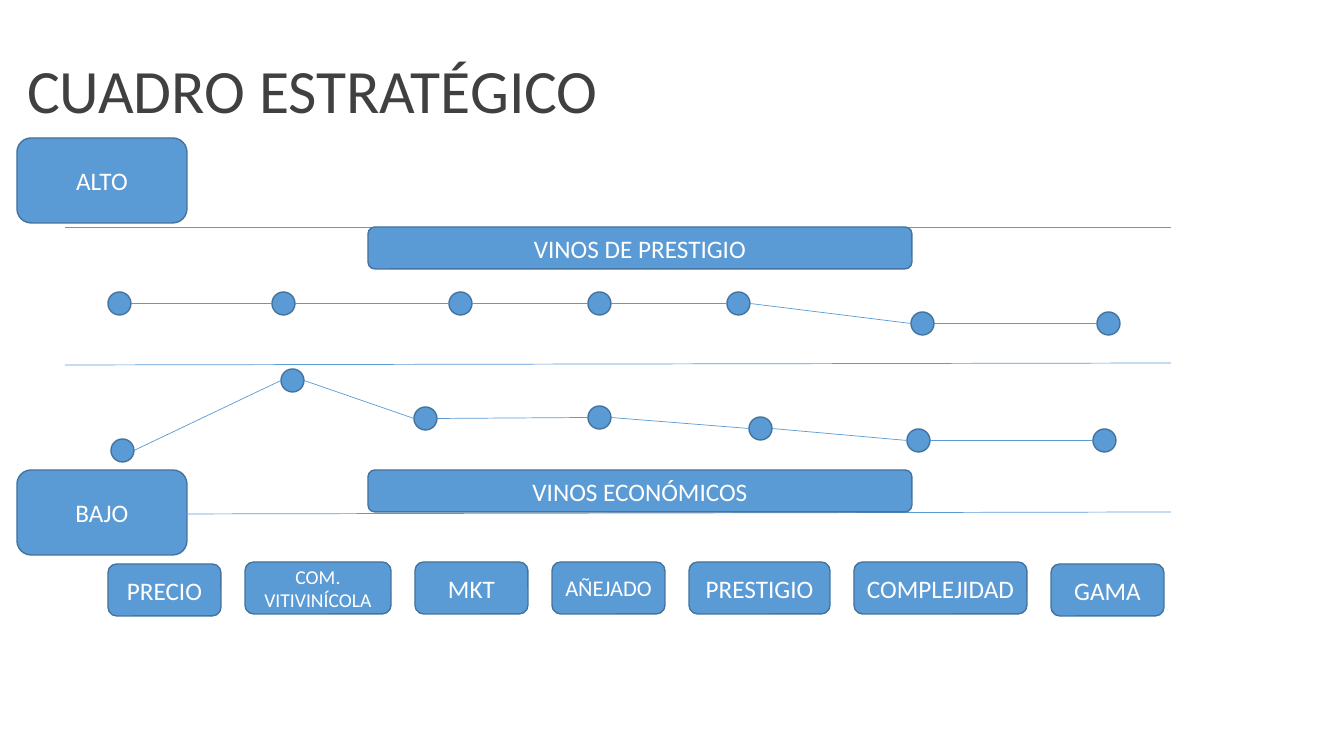
"""Build the strategy canvas slide comparing prestige and budget wines."""
import itertools

import pptx
import pptx.dml.color
import pptx.enum.shapes
import pptx.enum.text
import pptx.oxml.ns
import pptx.util
from lxml import etree

EMU_PER_PX = 914400 / 100.8
BLUE, EDGE, WHITE, GREY = "5B9BD5", "43739E", "FFFFFF", "404040"
DOT = 23
LABEL_GAP = 24
BOX = pptx.enum.shapes.MSO_SHAPE.FLOWCHART_ALTERNATE_PROCESS
CIRCLE = pptx.enum.shapes.MSO_SHAPE.FLOWCHART_CONNECTOR
ALIGN = pptx.enum.text.PP_ALIGN

LEVELS = [("ALTO", 138), ("BAJO", 470)]
SCALE_LINES = [(65, 227, 1171, 227), (65, 365, 1171, 363), (180, 514, 1171, 512)]
SEGMENTS = [("VINOS DE PRESTIGIO", 227), ("VINOS ECONÓMICOS", 470)]
FACTORS = [
    ("PRECIO", 564, 113, 18),
    ("COM. VITIVINÍCOLA", 562, 146, 14),
    ("MKT", 562, 113, 18),
    ("AÑEJADO", 562, 113, 16),
    ("PRESTIGIO", 562, 141, 18),
    ("COMPLEJIDAD", 562, 173, 18),
    ("GAMA", 564, 113, 18),
]
PRESTIGE_CURVE = [(108, 292), (272, 292), (449, 292), (588, 292), (727, 292),
                  (911, 312), (1097, 312)]
BUDGET_CURVE = [(111, 439), (281, 369), (414, 407), (588, 406), (749, 417),
                (907, 429), (1093, 429)]


def px(*lengths):
    """Turn pixel lengths into EMU."""
    return [pptx.util.Emu(round(length * EMU_PER_PX)) for length in lengths]


def color(hex_value):
    """Turn a hex string into a colour."""
    return pptx.dml.color.RGBColor.from_string(hex_value)


def apply(target, values):
    """Set each attribute named in the values on the target."""
    for name, value in values.items():
        setattr(target, name, value)


def write(frame, wording, size, hex_value, paragraph_format):
    """Write one vertically centred paragraph into a text frame."""
    apply(frame, {"word_wrap": True, "text": wording,
                  "auto_size": pptx.enum.text.MSO_AUTO_SIZE.NONE,
                  "vertical_anchor": pptx.enum.text.MSO_ANCHOR.MIDDLE})
    paragraph = frame.paragraphs[0]
    apply(paragraph, paragraph_format)
    font = paragraph.runs[0].font
    apply(font, {"name": "Calibri", "size": pptx.util.Pt(size)})
    font.color.rgb = color(hex_value)


def add_title(slide, wording):
    """Fill and place the title placeholder."""
    title = slide.shapes.title
    left, top, width, height = px(17, 21, 1159, 146)
    apply(title, {"left": left, "top": top, "width": width, "height": height})
    write(title.text_frame, wording, 44, GREY,
          {"alignment": ALIGN.LEFT, "line_spacing": 0.9})


def add_blue_shape(slide, kind, left, top, width, height):
    """Add a blue outlined shape without shadow."""
    shape = slide.shapes.add_shape(kind, *px(left, top, width, height))
    shape.shadow.inherit = False
    shape.fill.solid()
    shape.fill.fore_color.rgb = color(BLUE)
    shape.line.color.rgb = color(EDGE)
    shape.line.width = pptx.util.Pt(1)
    return shape


def add_box(slide, wording, left, top, width, height, size=18):
    """Add a rounded box with centred white wording."""
    box = add_blue_shape(slide, BOX, left, top, width, height)
    write(box.text_frame, wording, size, WHITE, {"alignment": ALIGN.CENTER})


def add_line(slide, *ends):
    """Add a thin blue straight line between two points."""
    line = slide.shapes.add_connector(
        pptx.enum.shapes.MSO_CONNECTOR.STRAIGHT, *px(*ends))
    line.line.color.rgb = color(BLUE)
    line.line.width = pptx.util.Pt(0.5)
    etree.SubElement(line._element.spPr, pptx.oxml.ns.qn("a:effectLst"))


def add_curve(slide, corners):
    """Add a row of dots joined from edge to edge."""
    for left, top in corners:
        add_blue_shape(slide, CIRCLE, left, top, DOT, DOT)
    for (x1, y1), (x2, y2) in itertools.pairwise(corners):
        add_line(slide, x1 + DOT, y1 + DOT / 2, x2, y2 + DOT / 2)


def add_factors(slide):
    """Add the competition factors in an evenly spaced row."""
    left = 108
    for wording, top, width, size in FACTORS:
        add_box(slide, wording, left, top, width, 52, size)
        left += width + LABEL_GAP


def main():
    """Build and save the slide."""
    deck = pptx.Presentation()
    deck.slide_width, deck.slide_height = px(1344, 756)
    slide = deck.slides.add_slide(deck.slide_layouts[5])
    add_title(slide, "CUADRO ESTRATÉGICO")
    for wording, top in LEVELS:
        add_box(slide, wording, 17, top, 170, 85)
    for ends in SCALE_LINES:
        add_line(slide, *ends)
    for wording, top in SEGMENTS:
        add_box(slide, wording, 368, top, 544, 42)
    add_factors(slide)
    for corners in (PRESTIGE_CURVE, BUDGET_CURVE):
        add_curve(slide, corners)
    deck.save("out.pptx")


if __name__ == "__main__":
    main()
